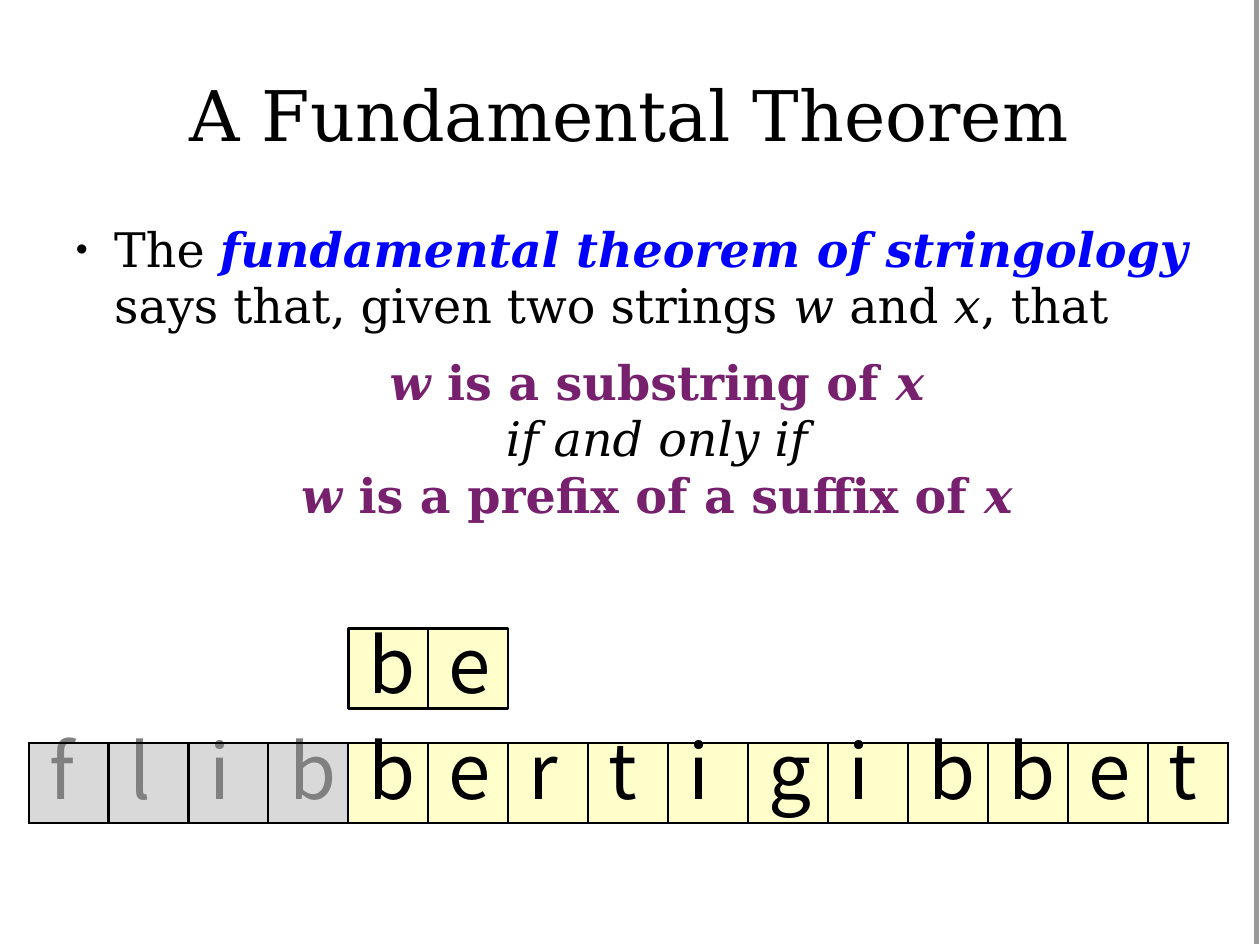
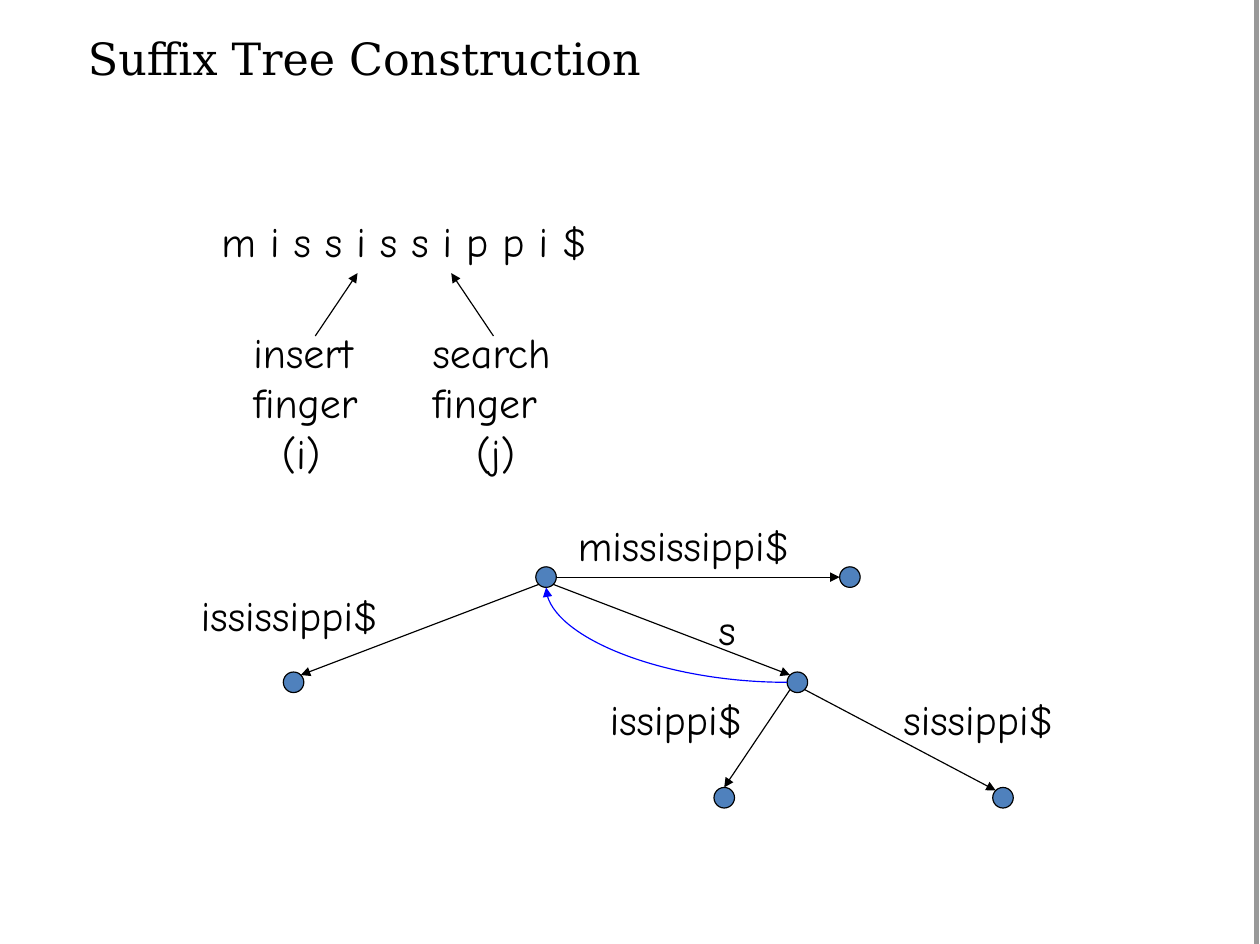
from collections import namedtuple
from dataclasses import dataclass
from math import cos, pi, sin

from lxml import etree
from pptx import Presentation
from pptx.dml.color import RGBColor
from pptx.enum.shapes import MSO_CONNECTOR, MSO_SHAPE
from pptx.enum.text import MSO_ANCHOR, MSO_AUTO_SIZE, PP_ALIGN
from pptx.oxml.ns import qn
from pptx.util import Inches, Pt

STRAIGHT, CURVE = MSO_CONNECTOR.STRAIGHT, MSO_CONNECTOR.CURVE
RECTANGLE, OVAL = MSO_SHAPE.RECTANGLE, MSO_SHAPE.OVAL
LEFT, CENTER = PP_ALIGN.LEFT, PP_ALIGN.CENTER
TOP, FIXED = MSO_ANCHOR.TOP, MSO_AUTO_SIZE.NONE

Box = namedtuple("Box", "left top width height")
Style = namedtuple("Style", "color bold italic")


@dataclass(frozen=True)
class Theme:
    """Colours, fonts and type sizes shared by the slides."""
    black: str = "000000"
    blue: str = "0000FF"
    purple: str = "76206E"
    edge: str = "999999"
    cream: str = "FFFFCC"
    faded_fill: str = "D9D9D9"
    faded_text: str = "808080"
    node: str = "4F81BD"
    serif: str = "DejaVu Serif"
    letter_font: str = "Noto Sans CJK SC"
    hand_font: str = "Comic Neue"
    title_size: float = 44
    small_title_size: float = 28
    body_size: float = 30
    letter_size: float = 48
    label_size: float = 26.4


THEME = Theme()
STYLES = {
    "plain": Style(THEME.black, False, False),
    "italic": Style(THEME.black, False, True),
    "term": Style(THEME.blue, True, True),
    "claim": Style(THEME.purple, True, False),
    "variable": Style(THEME.purple, True, True),
}
SLIDE_WIDTH, SLIDE_HEIGHT = 11.03, 8.26
CELL = 0.7
NODE_RADIUS = 0.09


def rgb(color):
    """Turn a hex string into a colour."""
    return RGBColor.from_string(color)


def inches(*values):
    """Turn numbers into lengths."""
    return [Inches(value) for value in values]


def add_run(paragraph, text, font_name, size, style=STYLES["plain"]):
    """Add one formatted run."""
    run = paragraph.add_run()
    run.text = text
    run.font.name = font_name
    run.font.size = Pt(size)
    run.font.bold = style.bold
    run.font.italic = style.italic
    run.font.color.rgb = rgb(style.color)


def add_child(parent, tag, **attributes):
    """Append a drawing element with the given attributes."""
    return etree.SubElement(parent, qn(tag), attributes)


def indent(paragraph, left, first=0):
    """Set the left margin and the first-line indent."""
    properties = paragraph._p.get_or_add_pPr()
    properties.set("marL", str(Inches(left)))
    properties.set("indent", str(Inches(first)))
    return properties


def place(placeholder, box, top_inset):
    """Move a placeholder and make its frame plain."""
    placeholder.left, placeholder.top, placeholder.width, placeholder.height = inches(*box)
    frame = placeholder.text_frame
    frame.margin_left = frame.margin_right = frame.margin_bottom = 0
    frame.margin_top = Inches(top_inset)
    frame.vertical_anchor = TOP
    frame.auto_size = FIXED
    frame.word_wrap = True
    return frame


def add_title(slide, box, text, size, alignment):
    """Fill the title placeholder."""
    paragraph = place(slide.shapes.title, box, 0.01).paragraphs[0]
    paragraph.alignment = alignment
    add_run(paragraph, text, THEME.serif, size)


def add_line(slide, kind, start, end, color=THEME.black, width=0.75, arrow=True):
    """Draw a connector, with an arrowhead at its end if wanted."""
    connector = slide.shapes.add_connector(kind, *inches(*start, *end))
    connector.line.color.rgb = rgb(color)
    connector.line.width = Pt(width)
    properties = connector.element.spPr
    if arrow:
        add_child(properties.find(qn("a:ln")), "a:tailEnd", type="triangle")
    add_child(properties, "a:effectLst")
    return connector


def add_outlined(slide, kind, box, fill, line_width):
    """Draw a filled shape with a black outline."""
    shape = slide.shapes.add_shape(kind, *inches(*box))
    shape.shadow.inherit = False
    shape.fill.solid()
    shape.fill.fore_color.rgb = rgb(fill)
    shape.line.color.rgb = rgb(THEME.black)
    shape.line.width = Pt(line_width)
    return shape


def add_master_edge(presentation, slide):
    """Put the grey right-hand edge on the slide master."""
    edge = add_line(slide, STRAIGHT, (11, 0), (11, SLIDE_HEIGHT), THEME.edge, 2.89, False)
    edge.element.nvCxnSpPr.cNvPr.id = 20
    presentation.slide_master.element.cSld.spTree.append(edge.element)


def add_theorem(slide, box):
    """Write the bulleted statement and its centred claim."""
    statement = [("The ", "plain"), ("fundamental theorem of stringology", "term"),
                 (" says that, given two strings ", "plain"), ("w", "italic"),
                 (" and ", "plain"), ("x", "italic"), (", that", "plain")]
    claims = [
        [("w", "variable"), (" is a substring of ", "claim"), ("x", "variable")],
        [("if and only if", "italic")],
        [("w", "variable"), (" is a prefix of a suffix of ", "claim"), ("x", "variable")],
    ]
    frame = place(slide.placeholders[1], box, 0.03)
    for index, runs in enumerate([statement] + claims):
        paragraph = frame.add_paragraph() if index else frame.paragraphs[0]
        if index:
            add_child(indent(paragraph, 0.44), "a:buNone")
            paragraph.alignment = CENTER
        else:
            properties = indent(paragraph, 0.41, -0.34)
            add_child(properties, "a:buSzPct", val="45000")
            add_child(properties, "a:buFont", typeface="Arial")
            add_child(properties, "a:buChar", char="●")
        paragraph.line_spacing = Pt(35.5)
        paragraph.space_before = Pt(12.8 if index == 1 else 0)
        for text, style in runs:
            add_run(paragraph, text, THEME.serif, THEME.body_size, STYLES[style])


def write_letter(holder, letter, color, spacing):
    """Write one letter into a table cell or a square."""
    holder.margin_left = Inches(0.18)
    holder.margin_right = holder.margin_top = holder.margin_bottom = 0
    holder.vertical_anchor = TOP
    frame = getattr(holder, "text_frame", holder)
    paragraph = frame.paragraphs[0]
    paragraph.alignment = LEFT
    paragraph.line_spacing = Pt(spacing)
    add_run(paragraph, letter, THEME.letter_font, THEME.letter_size,
            Style(color, False, False))


def add_border(cell):
    """Give a cell a black border on every side."""
    properties = cell._tc.get_or_add_tcPr()
    for side in ("a:lnL", "a:lnR", "a:lnT", "a:lnB"):
        line = add_child(properties, side, w=str(Pt(1.5)))
        add_child(add_child(line, "a:solidFill"), "a:srgbClr", val=THEME.black)


def add_word_row(slide, box, word, faded):
    """Spell a word in a one-row table whose first letters are faded."""
    table = slide.shapes.add_table(1, len(word), *inches(*box)).table
    table.first_row = table.horz_banding = False
    table.rows[0].height = Inches(box.height)
    for index, letter in enumerate(word):
        table.columns[index].width = Inches(CELL)
        cell = table.cell(0, index)
        add_border(cell)
        cell.fill.solid()
        cell.fill.fore_color.rgb = rgb(THEME.faded_fill if index < faded else THEME.cream)
        write_letter(cell, letter, THEME.faded_text if index < faded else THEME.black, 49.4)


def add_squares(slide, box, word):
    """Spell a word in separate squares."""
    for index, letter in enumerate(word):
        square = add_outlined(slide, RECTANGLE,
                              Box(box.left + index * CELL, box.top, CELL, box.height),
                              THEME.cream, 1.44)
        frame = square.text_frame
        frame.word_wrap = True
        write_letter(frame, letter, THEME.black, 50.4)


def add_label(slide, box, lines, last_indent=0):
    """Write handwritten lines, the last one indented."""
    frame = slide.shapes.add_textbox(*inches(*box)).text_frame
    frame.word_wrap = False
    for index, text in enumerate(lines):
        paragraph = frame.add_paragraph() if index else frame.paragraphs[0]
        add_run(paragraph, text, THEME.hand_font, THEME.label_size)
    if last_indent:
        indent(paragraph, last_indent)


def add_fingers(slide, box):
    """Show the input word with its two labelled fingers."""
    add_label(slide, Box(box.left, box.top, box.width, 0.55), ["m i s s i s s i p p i $"])
    fingers = [("insert", "(i)", 0.28, 1.27, 0.25, 0.92, 1.29),
               ("search", "(j)", 1.85, 1.36, 0.38, 2.48, 2.11)]
    for role, index_name, left, width, last_indent, start, end in fingers:
        add_label(slide, Box(box.left + left, box.top + 0.97, width, 1.44),
                  [role, "finger", index_name], last_indent)
        add_line(slide, STRAIGHT, (box.left + start, box.top + 1.1),
                 (box.left + end, box.top + 0.55))


def site_point(center, site):
    """Locate a connection site, counted anticlockwise from the top."""
    angle = site * pi / 4
    return center[0] - NODE_RADIUS * sin(angle), center[1] - NODE_RADIUS * cos(angle)


def glue(connector, start_node, start_site, end_node, end_site):
    """Attach both ends of a connector to sites of round nodes."""
    links = connector.element.nvCxnSpPr.cNvCxnSpPr
    for link, node, site in ((links.get_or_add_stCxn(), start_node, start_site),
                             (links.get_or_add_endCxn(), end_node, end_site)):
        link.id, link.idx = node.shape_id, site


def add_suffix_tree(slide, box):
    """Draw the suffix tree with its labels and suffix link."""
    offsets = {"root": (3.12, 0.55), "whole": (5.78, 0.55), "second": (0.91, 1.47),
               "branch": (5.32, 1.47), "near": (4.68, 2.48), "far": (7.12, 2.48)}
    edges = [("root", 6, "whole", 2), ("root", 3, "second", 7), ("root", 5, "branch", 1),
             ("branch", 5, "far", 1), ("branch", 3, "near", 0)]
    labels = [("mississippi$", 3.3, 0, 2.28), ("ississippi$", 0, 0.61, 1.99),
              ("s", 4.53, 0.73, 0.38), ("issippi$", 3.58, 1.52, 1.53),
              ("sissippi$", 6.15, 1.52, 1.71)]
    centers = {name: (box.left + x, box.top + y) for name, (x, y) in offsets.items()}
    size = 2 * NODE_RADIUS
    nodes = {name: add_outlined(slide, OVAL,
                                Box(x - NODE_RADIUS, y - NODE_RADIUS, size, size),
                                THEME.node, 0.75)
             for name, (x, y) in centers.items()}
    for start, start_site, end, end_site in edges:
        connector = add_line(slide, STRAIGHT, site_point(centers[start], start_site),
                             site_point(centers[end], end_site))
        glue(connector, nodes[start], start_site, nodes[end], end_site)
    for text, left, top, width in labels:
        add_label(slide, Box(box.left + left, box.top + top, width, 0.55), [text])
    suffix_link = add_line(slide, CURVE, site_point(centers["root"], 4),
                           site_point(centers["branch"], 2), THEME.blue)
    properties = suffix_link.element.spPr
    properties.find(qn("a:prstGeom")).set("prst", "curvedConnector2")
    properties.find(qn("a:xfrm")).set("rot", str(180 * 60000))
    glue(suffix_link, nodes["branch"], 2, nodes["root"], 4)


def main():
    """Build and save both slides."""
    presentation = Presentation()
    presentation.slide_width, presentation.slide_height = inches(SLIDE_WIDTH, SLIDE_HEIGHT)

    theorem = presentation.slides.add_slide(presentation.slide_layouts[1])
    add_master_edge(presentation, theorem)
    add_title(theorem, Box(1.65, 0.62, 7.72, 0.76), "A Fundamental Theorem",
              THEME.title_size, CENTER)
    add_theorem(theorem, Box(0.59, 1.9, 9.88, 2.64))
    word = "flibbertigibbet"
    add_word_row(theorem, Box(0.25, 6.5, len(word) * CELL, CELL), word, 4)
    add_squares(theorem, Box(3.05, 5.5, 2 * CELL, CELL), "be")

    construction = presentation.slides.add_slide(presentation.slide_layouts[5])
    add_title(construction, Box(0.77, 0.26, 9.71, 0.47), "Suffix Tree Construction",
              THEME.small_title_size, LEFT)
    add_fingers(construction, Box(1.84, 1.84, 3.49, 2.41))
    add_suffix_tree(construction, Box(1.66, 4.5, 7.86, 2.57))
    presentation.save("out.pptx")


if __name__ == "__main__":
    main()
